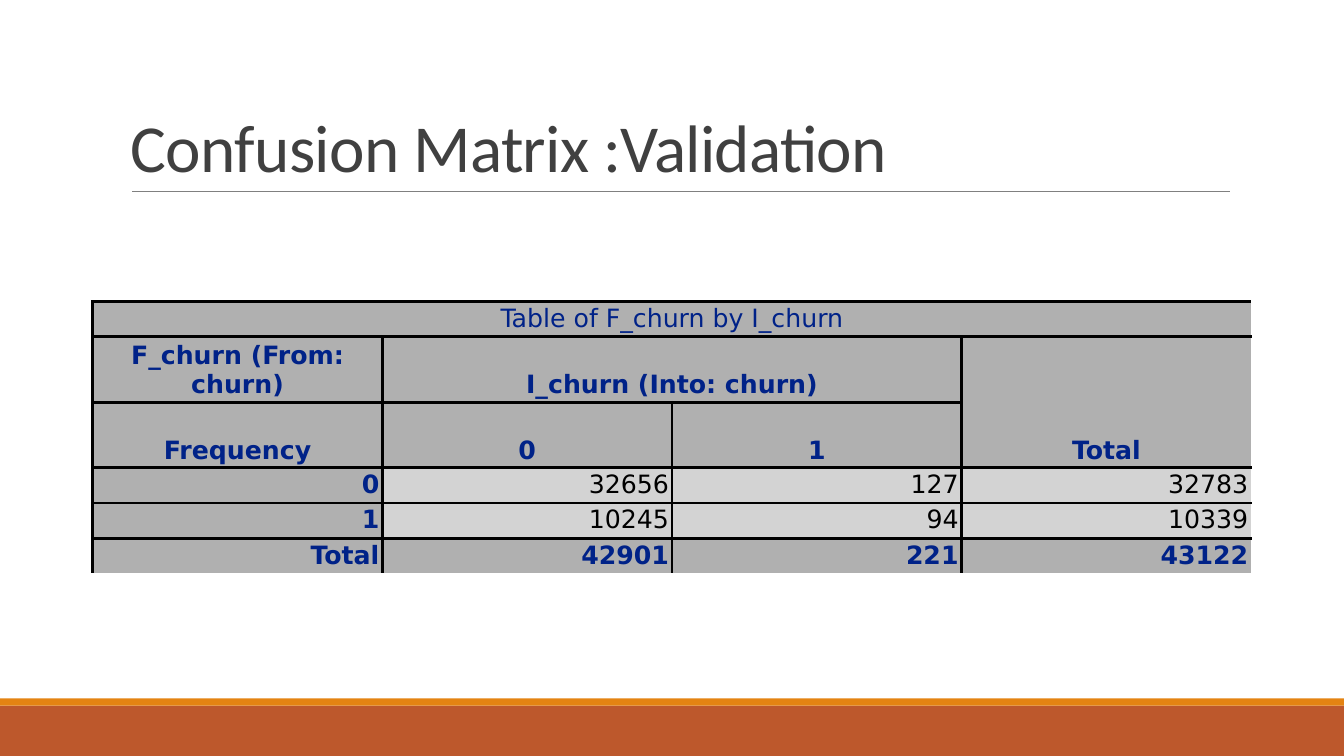
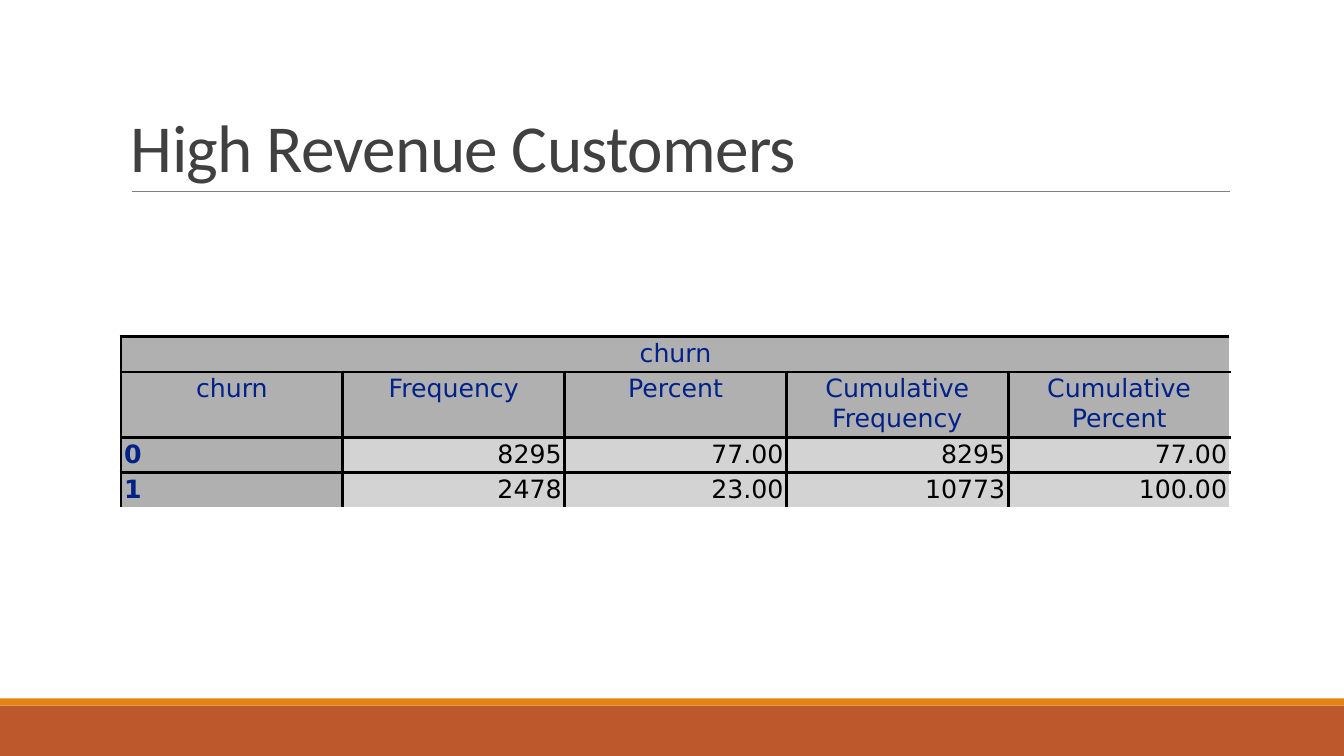
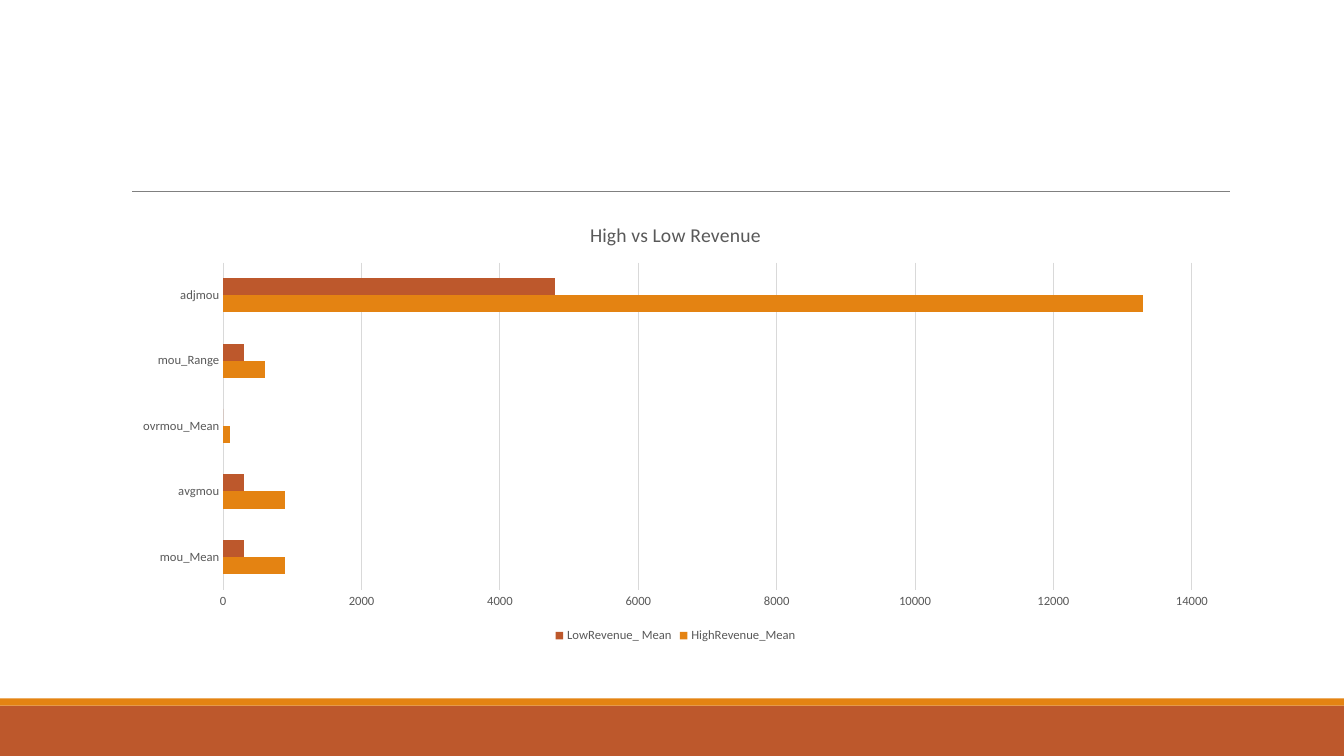
from dataclasses import dataclass

from lxml import etree
from pptx import Presentation
from pptx import util as u
from pptx.chart.data import CategoryChartData
from pptx.dml.color import RGBColor
from pptx.enum import chart as charts
from pptx.enum import shapes, text
from pptx.oxml import ns

WIDTH, HEIGHT = 13.33, 7.5
MARGIN, CONTENT_WIDTH = 1.2, 11
RULE_Y = 1.9
RUST, ORANGE = "BD582C", "E48312"
TITLE_GREY, CHART_GREY, GRID_GREY, RULE_GREY = "404040", "595959", "D9D9D9", "808080"
NAVY, BLACK, WHITE = "002288", "000000", "FFFFFF"
HEADER_FILL, VALUE_FILL = "B0B0B0", "D3D3D3"
BODY_FONT, TABLE_FONT = "Calibri", "DejaVu Sans"
SIDE_INSET, END_INSET = u.Inches(0.03), u.Pt(1.8)
TEXT_LINE, ROW_PADDING = 0.3, 0.05
LEFT, CENTER, RIGHT = text.PP_ALIGN.LEFT, text.PP_ALIGN.CENTER, text.PP_ALIGN.RIGHT
TOP, BOTTOM = text.MSO_ANCHOR.TOP, text.MSO_ANCHOR.BOTTOM


@dataclass
class CellStyle:
    align: int
    bold: bool = False
    color: str = NAVY
    fill: str = HEADER_FILL
    anchor: int = TOP


HEADING = CellStyle(CENTER)
BOLD_HEADING = CellStyle(CENTER, bold=True, anchor=BOTTOM)
LEFT_LABEL = CellStyle(LEFT, bold=True)
RIGHT_LABEL = CellStyle(RIGHT, bold=True)
VALUE = CellStyle(RIGHT, color=BLACK, fill=VALUE_FILL)


@dataclass
class Row:
    """A table row: its height in text lines, two cell styles and its words."""
    lines: int
    first: CellStyle
    rest: CellStyle
    words: list


def rgb(value):
    return RGBColor.from_string(value)


def inches(*lengths):
    return [u.Inches(length) for length in lengths]


def style_font(font, size, color, name=BODY_FONT, bold=False):
    font.size, font.name, font.bold = u.Pt(size), name, bold
    font.color.rgb = rgb(color)


def add_band(page, top, height, color):
    band = page.shapes.add_shape(shapes.MSO_SHAPE.RECTANGLE, *inches(0, top, WIDTH, height))
    band.shadow.inherit = False
    band.fill.solid()
    band.fill.fore_color.rgb = rgb(color)
    band.line.fill.background()


def add_page(deck, title=None):
    """Add a slide with the footer bands, the rule and, if given, a title."""
    page = deck.slides.add_slide(deck.slide_layouts[6])
    add_band(page, 7, 0.5, RUST)
    add_band(page, 6.93, 0.07, ORANGE)
    rule = page.shapes.add_connector(
        shapes.MSO_CONNECTOR.STRAIGHT, *inches(1.31, RULE_Y, 12.2, RULE_Y))
    rule.line.color.rgb, rule.line.width = rgb(RULE_GREY), u.Pt(0.5)
    etree.SubElement(rule._element.spPr, ns.qn("a:effectLst"))
    if title:
        add_title(page, title)
    return page


def add_title(page, words):
    box = page.shapes.add_textbox(*inches(MARGIN, 0.31, CONTENT_WIDTH, RULE_Y - 0.31))
    frame = box.text_frame
    frame.word_wrap, frame.vertical_anchor = True, BOTTOM
    para = frame.paragraphs[0]
    para.line_spacing = 0.85
    span = para.add_run()
    span.text = words
    style_font(span.font, 48, TITLE_GREY)
    span.font._element.set("spc", "-50")


def set_border(cell, side, color, points):
    """Draw one side (L, R, T or B) of a cell; no colour means no line."""
    line = etree.SubElement(cell._tc.get_or_add_tcPr(), ns.qn(f"a:ln{side}"))
    line.set("w", str(u.Pt(points)))
    if color is None:
        etree.SubElement(line, ns.qn("a:noFill"))
    else:
        fill = etree.SubElement(line, ns.qn("a:solidFill"))
        etree.SubElement(fill, ns.qn("a:srgbClr")).set("val", color)


def border_cell(cell, at_right, at_bottom):
    open_sides = {"R": at_right, "B": at_bottom}
    for side in "LRTB":
        if cell.is_spanned:
            set_border(cell, side, None, 0)
        elif open_sides.get(side):
            set_border(cell, side, WHITE, 1.13)
        else:
            set_border(cell, side, BLACK, 2.25)


def fill_cell(cell, style, words):
    cell.margin_left = cell.margin_right = SIDE_INSET
    cell.margin_top = cell.margin_bottom = END_INSET
    cell.vertical_anchor = style.anchor
    cell.fill.solid()
    cell.fill.fore_color.rgb = rgb(style.fill)
    para = cell.text_frame.paragraphs[0]
    para.alignment = style.align
    if words:
        span = para.add_run()
        span.text = words
        style_font(span.font, 18, style.color, TABLE_FONT, style.bold)


def add_grid(page, left, top, width, rows, merges):
    """Add a table of equal columns; merges pairs first and last cells."""
    columns = len(rows[0].words)
    heights = [row.lines * TEXT_LINE + ROW_PADDING for row in rows]
    table = page.shapes.add_table(
        len(rows), columns, *inches(left, top, width, sum(heights))).table
    table.first_row = table.horz_banding = False
    for first, last in merges:
        table.cell(*first).merge(table.cell(*last))
    for r, row in enumerate(rows):
        table.rows[r].height = u.Inches(heights[r])
        for c, words in enumerate(row.words):
            cell = table.cell(r, c)
            at_right = c + cell.span_width == columns
            at_bottom = r + cell.span_height == len(rows)
            border_cell(cell, at_right, at_bottom)
            fill_cell(cell, row.rest if c else row.first, words)


def add_revenue_chart(page):
    data = CategoryChartData()
    data.categories = ["mou_Mean", "avgmou", "ovrmou_Mean", "mou_Range", "adjmou"]
    data.add_series("HighRevenue_Mean", [900, 900, 100, 600, 13300])
    data.add_series("LowRevenue_ Mean", [300, 300, 0, 300, 4800])
    chart = page.shapes.add_chart(
        charts.XL_CHART_TYPE.BAR_CLUSTERED,
        *inches(MARGIN, 2.02, CONTENT_WIDTH, 4.4), data).chart
    style_font(chart.font, 9, CHART_GREY)

    chart.has_title = True
    span = chart.chart_title.text_frame.paragraphs[0].add_run()
    span.text = "High vs Low Revenue"
    style_font(span.font, 14, CHART_GREY)
    chart.chart_title.include_in_layout = False

    chart.has_legend = True
    chart.legend.position = charts.XL_LEGEND_POSITION.BOTTOM
    chart.legend.include_in_layout = False
    style_font(chart.legend.font, 9, CHART_GREY)

    plot = chart.plots[0]
    plot.gap_width, plot.vary_by_categories = 182, False
    for series, color in zip(plot.series, (ORANGE, RUST)):
        series.format.fill.solid()
        series.format.fill.fore_color.rgb = rgb(color)

    for axis in (chart.category_axis, chart.value_axis):
        axis.major_tick_mark = axis.minor_tick_mark = charts.XL_TICK_MARK.NONE
        style_font(axis.tick_labels.font, 9, CHART_GREY)
    chart.value_axis.format.line.fill.background()
    chart.value_axis.has_major_gridlines = True
    for part in (chart.category_axis, chart.value_axis.major_gridlines):
        part.format.line.color.rgb = rgb(GRID_GREY)
        part.format.line.width = u.Pt(0.75)


def main():
    deck = Presentation()
    deck.slide_width, deck.slide_height = inches(WIDTH, HEIGHT)

    page = add_page(deck, "Confusion Matrix :Validation")
    add_grid(page, 0.92, 2.99, 11.49, [
        Row(1, HEADING, HEADING, ["Table of F_churn by I_churn", "", "", ""]),
        Row(2, BOLD_HEADING, BOLD_HEADING,
            ["F_churn (From: churn)", "I_churn (Into: churn)", "", "Total"]),
        Row(2, BOLD_HEADING, BOLD_HEADING, ["Frequency", "0", "1", ""]),
        Row(1, RIGHT_LABEL, VALUE, ["0", "32656", "127", "32783"]),
        Row(1, RIGHT_LABEL, VALUE, ["1", "10245", "94", "10339"]),
        Row(1, RIGHT_LABEL, RIGHT_LABEL, ["Total", "42901", "221", "43122"]),
    ], [((0, 0), (0, 3)), ((1, 1), (1, 2)), ((1, 3), (2, 3))])

    page = add_page(deck, "High Revenue Customers")
    add_grid(page, MARGIN, 3.34, CONTENT_WIDTH, [
        Row(1, HEADING, HEADING, ["churn", "", "", "", ""]),
        Row(2, HEADING, HEADING,
            ["churn", "Frequency", "Percent", "Cumulative Frequency", "Cumulative Percent"]),
        Row(1, LEFT_LABEL, VALUE, ["0", "8295", "77.00", "8295", "77.00"]),
        Row(1, LEFT_LABEL, VALUE, ["1", "2478", "23.00", "10773", "100.00"]),
    ], [((0, 0), (0, 4))])

    add_revenue_chart(add_page(deck))
    deck.save("out.pptx")


if __name__ == "__main__":
    main()
